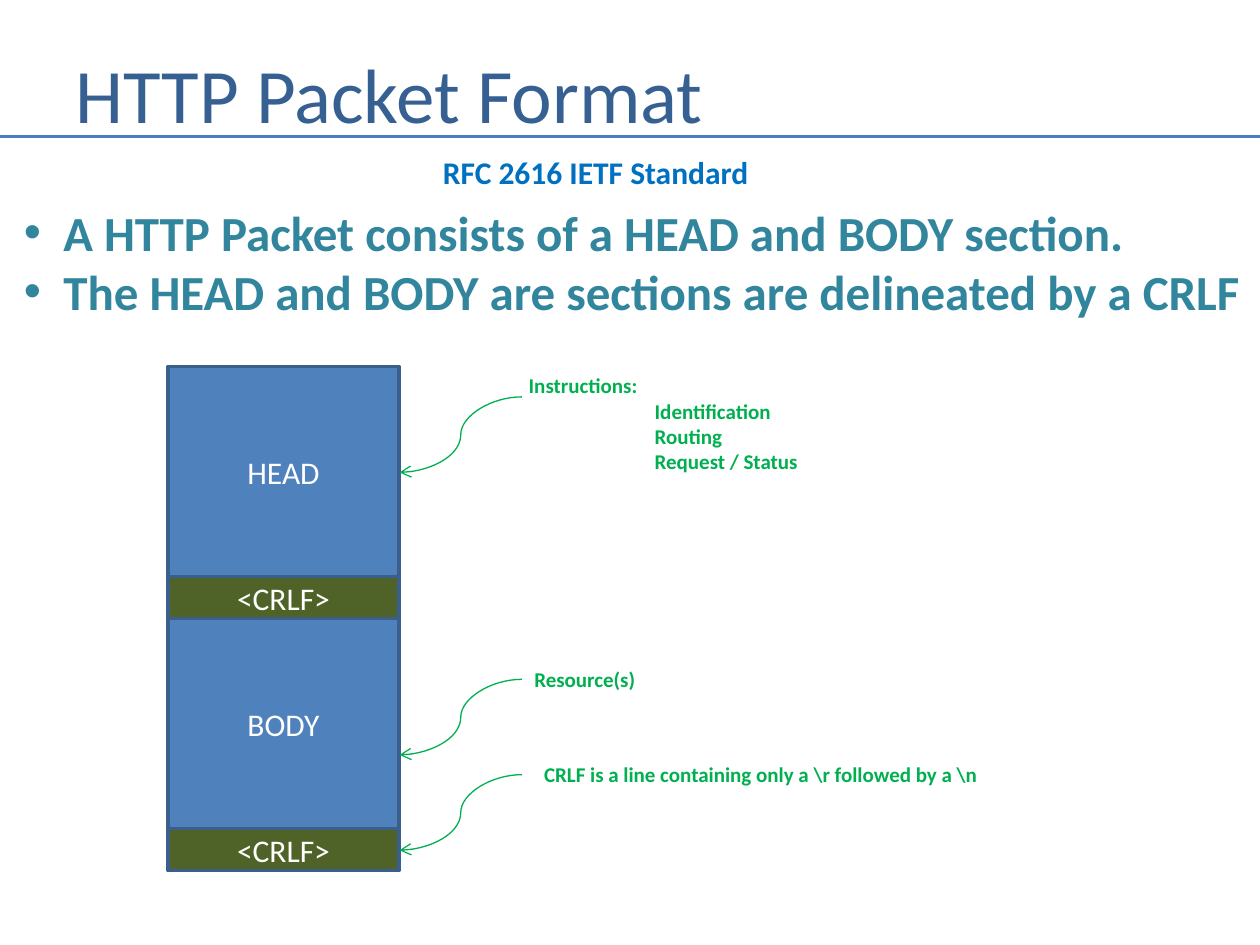
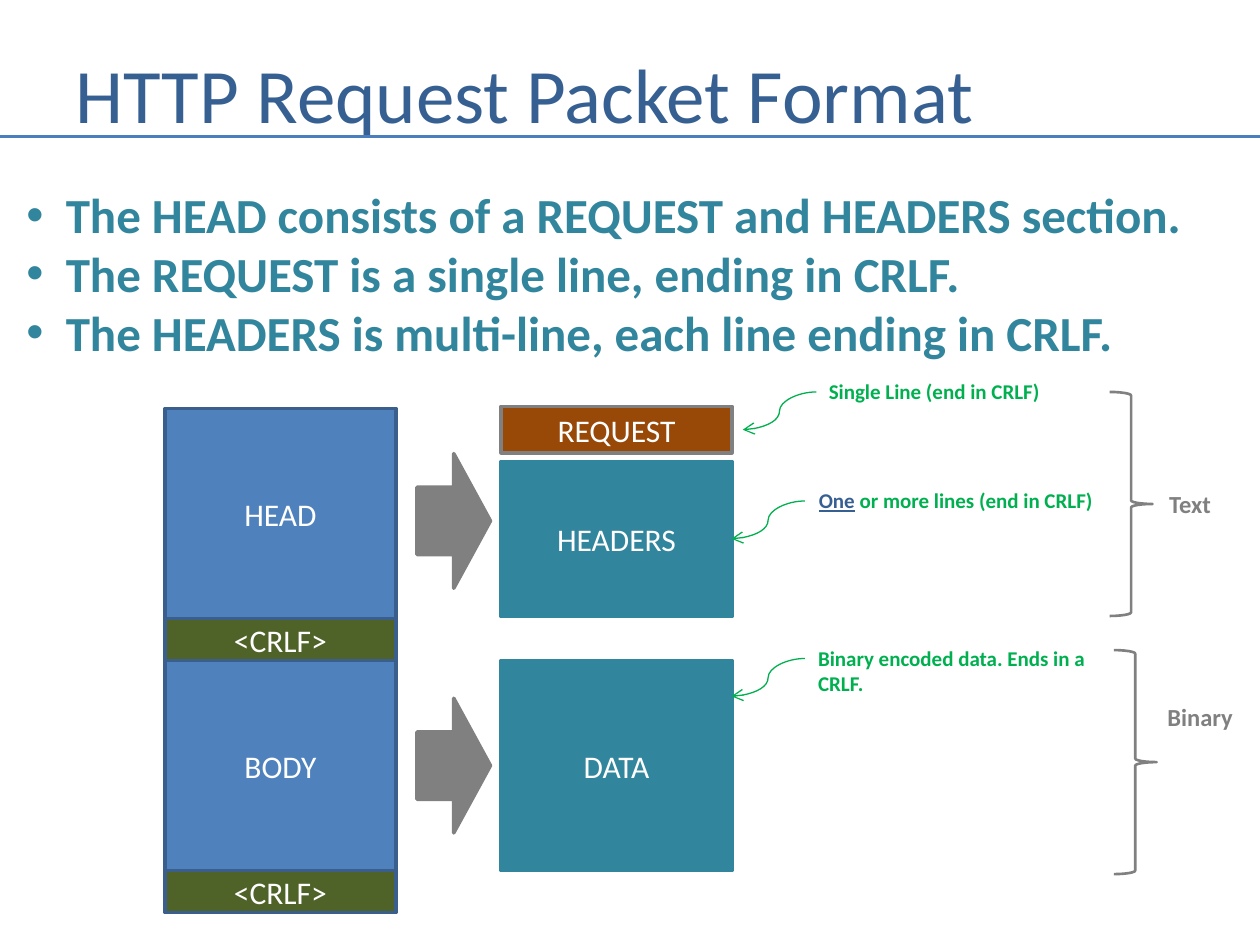
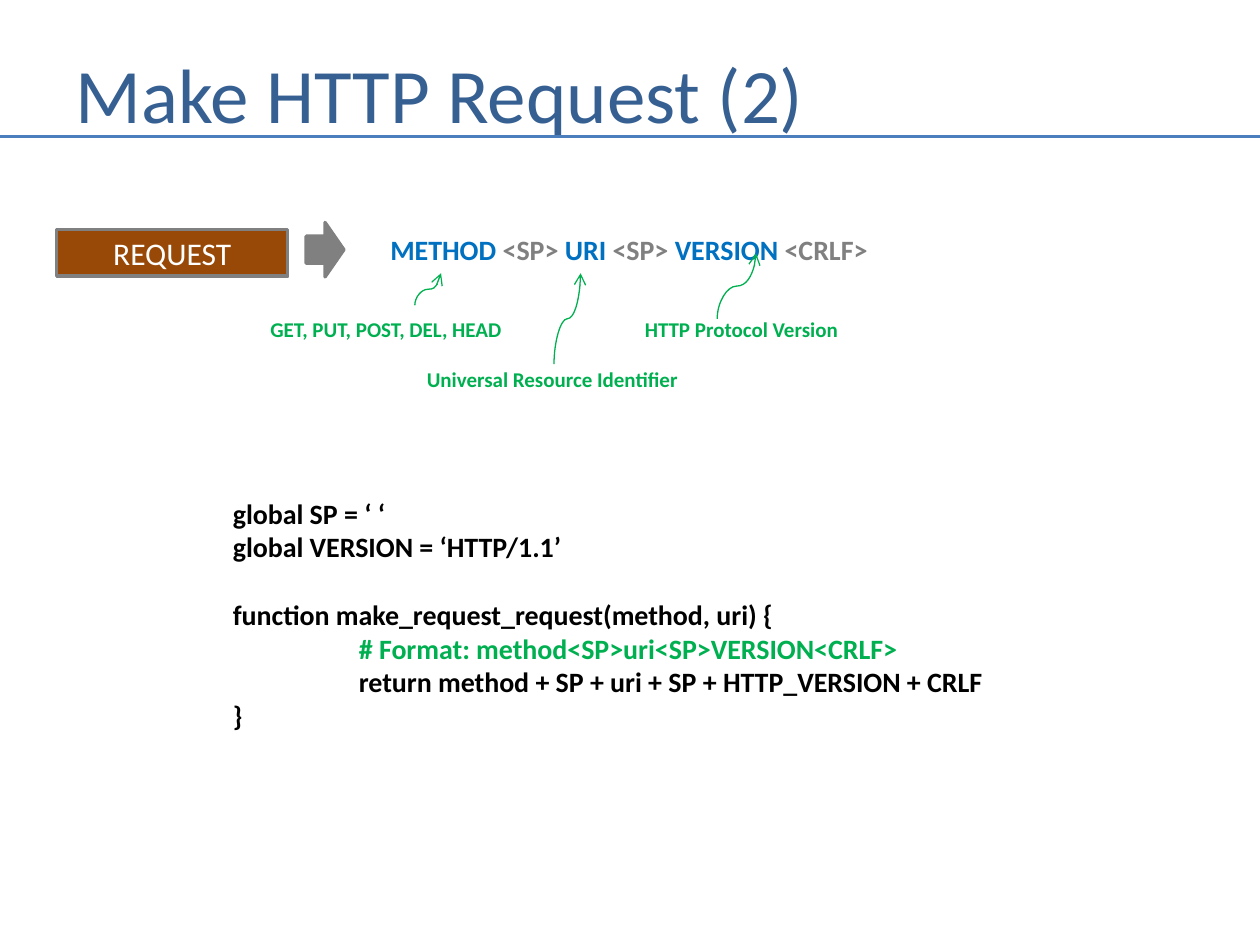
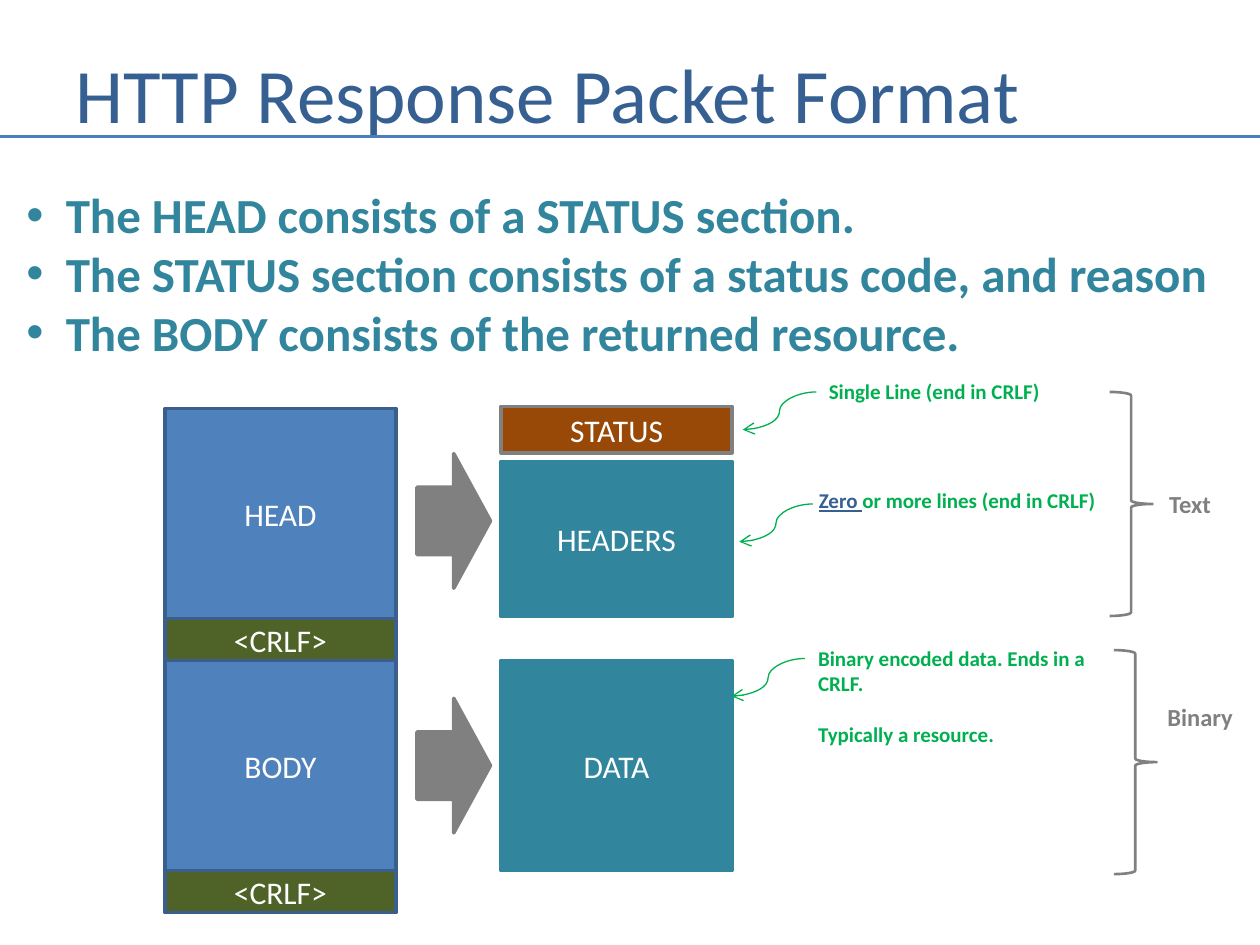
from lxml.etree import SubElement
from pptx import Presentation
from pptx.dml.color import RGBColor
from pptx.enum.shapes import MSO_CONNECTOR, MSO_SHAPE
from pptx.enum.text import MSO_ANCHOR, MSO_AUTO_SIZE, PP_ALIGN
from pptx.oxml.ns import qn
from pptx.util import Pt

NAVY = RGBColor(0x37, 0x60, 0x92)
RULE = RGBColor(0x4B, 0x7E, 0xBC)
BLUE = RGBColor(0x4F, 0x81, 0xBD)
EDGE = RGBColor(0x3A, 0x5F, 0x8C)
SKY = RGBColor(0x00, 0x70, 0xC0)
TEAL = RGBColor(0x31, 0x85, 0x9C)
OLIVE = RGBColor(0x4F, 0x62, 0x28)
BROWN = RGBColor(0x98, 0x48, 0x07)
GREEN = RGBColor(0x00, 0xB0, 0x50)
GRAY = RGBColor(0x80, 0x80, 0x80)
BLACK = RGBColor(0x00, 0x00, 0x00)
WHITE = RGBColor(0xFF, 0xFF, 0xFF)

FONT = "Calibri"
WIDE, TALL = 720, 540
CELL, PART, MARK, THIN = 132, 120, 24, 26.6
HANG, STOP = 22.5, 72
LEAD = 1.22


def style(font, size, color, bold=False):
    """Set face, size, colour and weight of a font."""
    font.name, font.size, font.bold = FONT, Pt(size), bold
    font.color.rgb = color


def tab(para):
    """Give a paragraph its left tab stop."""
    stops = SubElement(para._p.get_or_add_pPr(), qn("a:tabLst"))
    stop = SubElement(stops, qn("a:tab"))
    stop.set("pos", str(Pt(STOP)))
    stop.set("algn", "l")


def label(slide, x, y, w, h, lines, size=12, color=GREEN, bold=True):
    """Add text lines, each a string or a list of (text, colour) runs."""
    box = slide.shapes.add_textbox(Pt(x), Pt(y), Pt(w), Pt(h))
    frame = box.text_frame
    frame.word_wrap = False
    frame.auto_size = MSO_AUTO_SIZE.SHAPE_TO_FIT_TEXT
    for index, line in enumerate(lines):
        para = frame.add_paragraph() if index else frame.paragraphs[0]
        pairs = [(line, color)] if isinstance(line, str) else line
        if pairs[0][0].startswith("\t"):
            tab(para)
        for text, tint in pairs:
            run = para.add_run()
            run.text = text
            style(run.font, size, tint, bold)
    return frame


def bullets(slide, x, y, w, h, lines):
    """Add a bold bulleted list."""
    frame = label(slide, x, y, w, h, lines, 28, TEAL)
    for para in frame.paragraphs:
        props = para._p.get_or_add_pPr()
        props.set("marL", str(Pt(HANG)))
        props.set("indent", str(-Pt(HANG)))
        SubElement(props, qn("a:buFont")).set("typeface", "Arial")
        SubElement(props, qn("a:buChar")).set("char", "•")


def shape(slide, kind, x, y, w, h, fill, edge, width=2):
    """Add a preset shape, hollow when fill is None."""
    item = slide.shapes.add_shape(kind, Pt(x), Pt(y), Pt(w), Pt(h))
    item.shadow.inherit = False
    if fill is None:
        item.fill.background()
    else:
        item.fill.solid()
        item.fill.fore_color.rgb = fill
    item.line.color.rgb = edge
    item.line.width = Pt(width)
    return item


def block(slide, x, y, h, text, fill, edge):
    """Add a captioned packet cell."""
    frame = shape(slide, MSO_SHAPE.RECTANGLE, x, y, CELL, h, fill, edge).text_frame
    frame.text = text
    frame.vertical_anchor = MSO_ANCHOR.MIDDLE
    para = frame.paragraphs[0]
    para.alignment = PP_ALIGN.CENTER
    style(para.runs[0].font, 18, WHITE)


def arrow(slide, x, y, w, h):
    """Add a gray block arrow."""
    shape(slide, MSO_SHAPE.RIGHT_ARROW, x, y, w, h, GRAY, GRAY)


def brace(slide, x, y):
    """Add a gray right brace."""
    shape(slide, MSO_SHAPE.RIGHT_BRACE, x, y, 24.5, 128, None, GRAY, 1.5)


def link(slide, kind, start, end, color, width):
    """Add a connector without a shadow."""
    item = slide.shapes.add_connector(kind, *(Pt(v) for v in start + end))
    item.line.color.rgb = color
    item.line.width = Pt(width)
    SubElement(item._element.spPr, qn("a:effectLst"))
    return item


def curve(slide, start, end):
    """Add a green curved arrow."""
    item = link(slide, MSO_CONNECTOR.CURVE, start, end, GREEN, 0.75)
    SubElement(item.line._get_or_add_ln(), qn("a:tailEnd")).set("type", "arrow")
    return item


def hook(slide, x, y, w=42, h=21.6):
    """Curve from a note down to the left."""
    curve(slide, (x, y), (x - w, y + h))


def rise(slide, x, y, w, h):
    """Curve from a note up to the right, leaving it upright."""
    mid_x, mid_y = x + w / 2, y - h / 2
    item = curve(slide, (mid_x + h / 2, mid_y + w / 2), (mid_x - h / 2, mid_y - w / 2))
    item._element.spPr.find(qn("a:xfrm")).set("rot", "5400000")


def stack(slide, x, y):
    """Draw the HEAD and BODY column with its CRLF marks."""
    for text in ("HEAD", "BODY"):
        block(slide, x, y, PART, text, BLUE, EDGE)
        block(slide, x, y + PART, MARK, "<CRLF>", OLIVE, EDGE)
        y += PART + MARK


def page(deck, title):
    """Add a slide with the shared title and rule."""
    slide = deck.slides.add_slide(deck.slide_layouts[6])
    frame = label(slide, 36, 21.5, 654, 62.6, [title], 44, NAVY, False)
    frame.auto_size = MSO_AUTO_SIZE.NONE
    frame.word_wrap = True
    frame.vertical_anchor = MSO_ANCHOR.MIDDLE
    link(slide, MSO_CONNECTOR.STRAIGHT, (0, 78), (WIDE, 78), RULE, 1.5)
    return slide


def packet(deck, title, width, points, first, count, note_w, tip, extra=None):
    """Add a slide that splits a packet into its parts."""
    slide = page(deck, title)
    bullets(slide, 8, 102, width, 109, points)
    stack(slide, 94.25, 233.5)
    for y in (259.2, 399):
        arrow(slide, 238.3, y, 42, 77)
    block(slide, 286.3, 232.2, THIN, first, BROWN, GRAY)
    block(slide, 286.3, 263.7, 88.6, "HEADERS", TEAL, TEAL)
    block(slide, 286.3, 377.5, PART, "DATA", TEAL, TEAL)
    for start in ((466.5, 224), tip, (460, 376.3)):
        hook(slide, *start)
    label(slide, 466.5, 213, 137, 21.8, ["Single Line (end in CRLF)"])
    pairs = [(count[0], NAVY), (count[1], GREEN)]
    frame = label(slide, 460.8, 275.3, note_w, 21.8, [pairs])
    frame.paragraphs[0].runs[0].font.underline = True
    lines = ["Binary encoded data. Ends in a", "CRLF."]
    if extra:
        lines.append(extra)
    frame = label(slide, 460.4, 365.3, 169, 7.2 + 12 * LEAD * len(lines), lines)
    if extra:
        frame.paragraphs[-1].space_before = Pt(12 * LEAD)
    brace(slide, 634.1, 224)
    label(slide, 661, 276, 42, 24.2, ["Text"], 14, GRAY)
    brace(slide, 636.5, 371.5)
    label(slide, 660, 397.6, 54, 24.2, ["Binary"], 14, GRAY)


def layout(deck):
    """Add the general packet slide."""
    slide = page(deck, "HTTP Packet Format")
    label(slide, 246, 84, 191, 29, ["RFC 2616 IETF Standard"], 18, SKY)
    bullets(slide, 6.6, 112.2, 718, 75, [
        "A HTTP Packet consists of a HEAD and BODY section.",
        "The HEAD and BODY are sections are delineated by a CRLF",
    ])
    stack(slide, 96, 209.5)
    for y in (226.8, 388.2, 442.7):
        hook(slide, 298.3, y, 70, 43.2)
    label(slide, 295, 209.5, 170, 65.5, [
        "Instructions:", "\tIdentification", "\tRouting", "\tRequest / Status",
    ])
    label(slide, 298.2, 377.5, 72.7, 21.8, ["Resource(s)"])
    label(slide, 303.8, 431.6, 265.7, 21.8,
          ["CRLF is a line containing only a \\r followed by a \\n"])


def request(deck):
    """Add the request line slide with its code."""
    slide = page(deck, "Make HTTP Request (2)")
    block(slide, 32.4, 131.3, THIN, "REQUEST", BROWN, GRAY)
    arrow(slide, 175, 127.2, 21.5, 31)
    label(slide, 216, 129.6, 291, 26.6, [[
        ("METHOD ", SKY), ("<SP> ", GRAY), ("URI ", SKY),
        ("<SP> ", GRAY), ("VERSION ", SKY), ("<CRLF>", GRAY),
    ]], 16)
    label(slide, 147.4, 177.4, 149, 21.8, ["GET, PUT, POST, DEL, HEAD"])
    label(slide, 236.8, 206, 160, 21.8, ["Universal Resource Identifier"])
    label(slide, 361.4, 177.4, 126.7, 21.8, ["HTTP Protocol Version"])
    rise(slide, 237, 174.5, 15, 18.3)
    rise(slide, 316.6, 208.2, 15.2, 52)
    rise(slide, 409.8, 182.2, 22.2, 37.4)
    frame = label(slide, 126, 280, 448.5, 144, [
        "global SP = ‘ ‘",
        "global VERSION = ‘HTTP/1.1’",
        "function make_request_request(method, uri) {",
        [("\t", BLACK), ("# Format: method<SP>uri<SP>VERSION<CRLF>", GREEN)],
        "\treturn method + SP + uri + SP + HTTP_VERSION + CRLF",
        "}",
    ], 16, BLACK)
    frame.paragraphs[2].space_before = Pt(16 * LEAD)


def main():
    """Build the four slides and save them."""
    deck = Presentation()
    deck.slide_width, deck.slide_height = Pt(WIDE), Pt(TALL)
    layout(deck)
    packet(deck, "HTTP Request Packet Format", 682, [
        "The HEAD consists of a REQUEST and HEADERS section.",
        "The REQUEST is a single line, ending in CRLF.",
        "The HEADERS is multi-line, each line ending in CRLF.",
    ], "REQUEST", ("One", " or more lines (end in CRLF)"), 173.5, (460, 286.3))
    request(deck)
    packet(deck, "HTTP Response Packet Format", 697, [
        "The HEAD consists of a STATUS section.",
        "The STATUS section consists of a status code, and reason",
        "The BODY consists of the returned resource.",
    ], "STATUS", ("Zero ", "or more lines (end in CRLF)"), 180.7, (464.5, 288),
        "Typically a resource.")
    deck.save("out.pptx")


if __name__ == "__main__":
    main()
